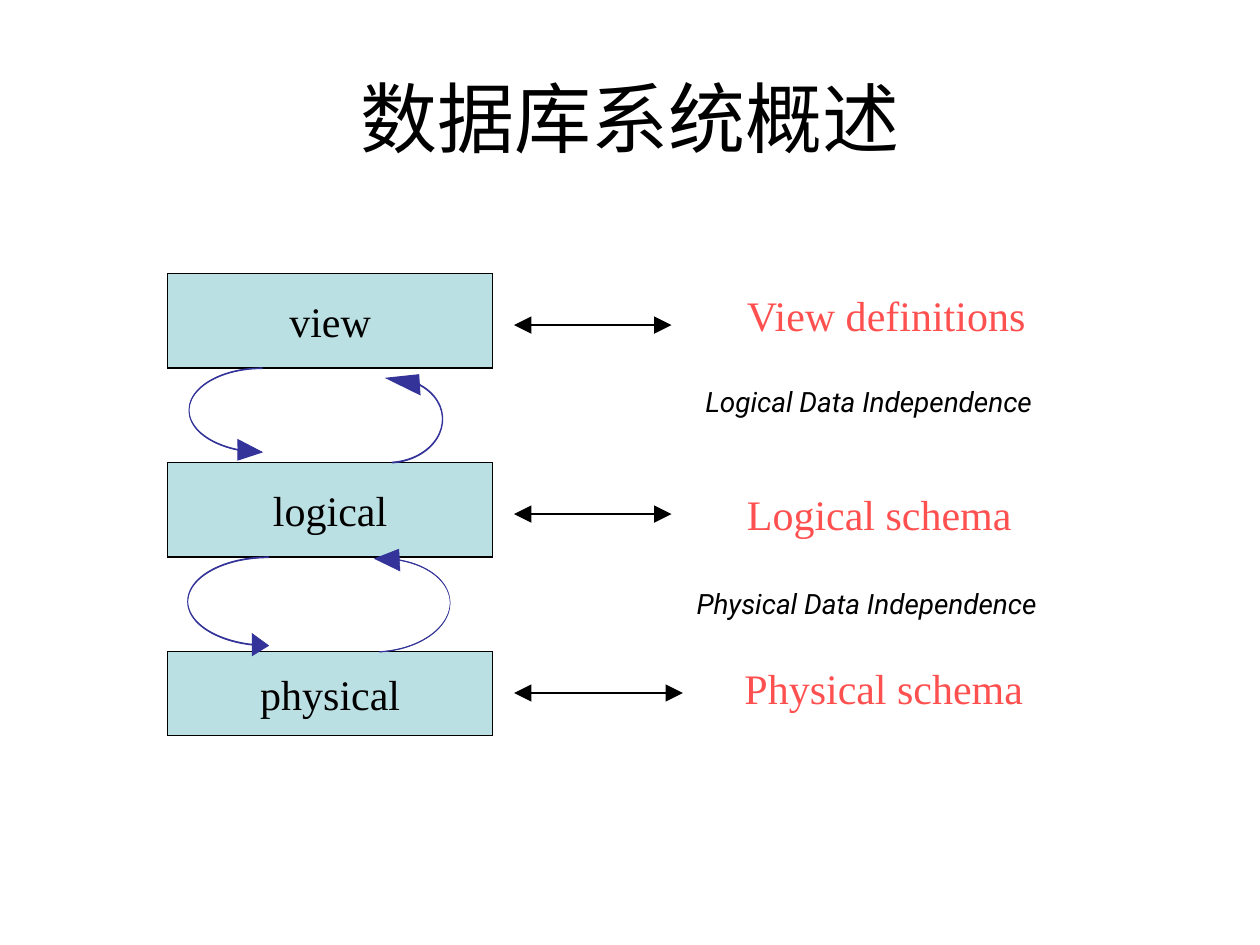
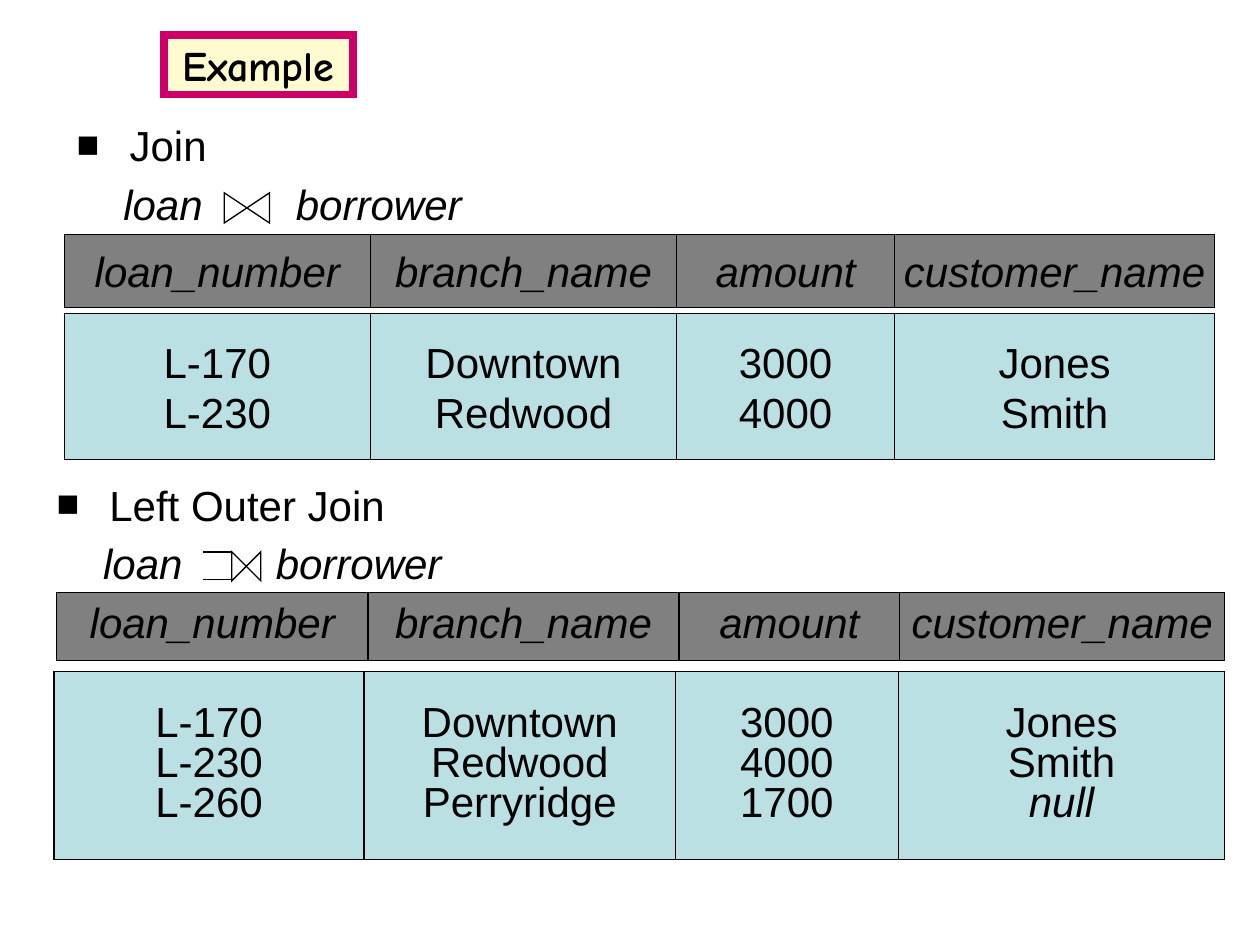
from dataclasses import dataclass
from itertools import pairwise

from lxml import etree
from pptx import Presentation
from pptx.dml.color import RGBColor
from pptx.enum.shapes import MSO_CONNECTOR, MSO_SHAPE
from pptx.enum.text import MSO_ANCHOR, PP_ALIGN
from pptx.oxml.ns import qn
from pptx.util import Inches, Pt


@dataclass(frozen=True)
class Theme:
    black: str = "000000"
    teal: str = "BBE0E3"
    gray: str = "808080"
    indigo: str = "333399"
    red: str = "FF5050"
    cream: str = "FFFBD1"
    magenta: str = "CC0066"
    sans: str = "Arial"
    serif: str = "Times New Roman"
    note_font: str = "Roboto"
    tag_font: str = "Comic Neue"
    title_size: int = 44
    body_size: int = 24
    note_size: int = 16
    hairline: float = 0.75


T = Theme()
COLUMNS = ("loan_number", "branch_name", "amount", "customer_name")
LOANS = (("L-170", "Downtown", "3000", "Jones"),
         ("L-230", "Redwood", "4000", "Smith"),
         ("L-260", "Perryridge", "1700", "null"))


# Shared helpers
def rgb(color):
    return RGBColor.from_string(color)


def inches(*lengths):
    return [Inches(v) for v in lengths]


def add_run(p, text, font=T.sans, size=T.body_size, color=T.black,
            bold=False, italic=False):
    r = p.add_run()
    r.text = text
    r.font.name, r.font.size = font, Pt(size)
    r.font.bold, r.font.italic = bold, italic
    r.font.color.rgb = rgb(color)


def paint(sp, fill=None, line=T.black, width=T.hairline):
    if fill:
        sp.fill.solid()
        sp.fill.fore_color.rgb = rgb(fill)
    else:
        sp.fill.background()
    sp.line.color.rgb = rgb(line)
    sp.line.width = Pt(width)
    etree.SubElement(sp.line._get_or_add_ln(), qn("a:miter"), lim="800000")


def add_shape(slide, kind, at, **style):
    sp = slide.shapes.add_shape(kind, *inches(*at))
    sp.shadow.inherit = False
    paint(sp, **style)
    return sp


def add_box(slide, at, lines, fill, spacing=None, **style):
    """A ruled box with one centred paragraph for each line."""
    tf = add_shape(slide, MSO_SHAPE.RECTANGLE, at, fill=fill).text_frame
    tf.word_wrap = False
    tf.vertical_anchor = MSO_ANCHOR.MIDDLE
    for i, text in enumerate(lines):
        p = tf.add_paragraph() if i else tf.paragraphs[0]
        p.alignment = PP_ALIGN.CENTER
        p.line_spacing = spacing
        add_run(p, text, **({"italic": text == "null"} | style))


def add_line(slide, start, end, arrows=False):
    cx = slide.shapes.add_connector(MSO_CONNECTOR.STRAIGHT,
                                    *inches(*start, *end))
    cx.line.color.rgb = rgb(T.black)
    cx.line.width = Pt(T.hairline)
    if arrows:
        ln = cx.line._get_or_add_ln()
        for end_tag in ("a:headEnd", "a:tailEnd"):
            etree.SubElement(ln, qn(end_tag), type="triangle",
                             w="lg", len="lg")
    etree.SubElement(cx._element.spPr, qn("a:effectLst"))


def add_text(slide, at, text, wrap=False, **style):
    tf = slide.shapes.add_textbox(*inches(*at)).text_frame
    tf.word_wrap = wrap
    add_run(tf.paragraphs[0], text, **style)


def set_title(slide, at, text, **style):
    sp = slide.shapes.title
    sp.left, sp.top, sp.width, sp.height = inches(*at)
    tf = sp.text_frame
    tf.vertical_anchor = MSO_ANCHOR.MIDDLE
    p = tf.paragraphs[0]
    p.alignment = PP_ALIGN.CENTER
    add_run(p, text, **style)
    return sp


# Schema levels
def add_loop_arrow(slide, at, rotation, head_width, head_length, width):
    sp = add_shape(slide, MSO_SHAPE.CURVED_RIGHT_ARROW, at,
                   fill=T.indigo, line=T.indigo, width=width)
    sp.rotation = rotation
    for i, value in enumerate((0.01, head_width, head_length)):
        sp.adjustments[i] = value


# Relations
def add_strip(slide, edges, top, height, rows, fill, **style):
    """One box for each column, holding that column's values."""
    for (left, right), values in zip(pairwise(edges), zip(*rows)):
        add_box(slide, (left, top, right - left, height), values, fill,
                **style)


def add_join_text(slide, left, top, name):
    tf = slide.shapes.add_textbox(*inches(left, top, 4.72, 0.89)).text_frame
    tf.word_wrap = True
    # Bulleted operation name
    p = tf.paragraphs[0]
    pPr = p._p.get_or_add_pPr()
    pPr.set("marL", str(Inches(0.42)))
    pPr.set("indent", str(-Inches(0.42)))
    color = etree.SubElement(pPr, qn("a:buClr"))
    etree.SubElement(color, qn("a:srgbClr"), val=T.black)
    etree.SubElement(pPr, qn("a:buSzPct"), val="90000")
    etree.SubElement(pPr, qn("a:buFont"), typeface=T.sans)
    etree.SubElement(pPr, qn("a:buChar"), char="■")
    p.line_spacing = 0.8
    add_run(p, name)
    # Operands either side of the join symbol
    p = tf.add_paragraph()
    tabs = etree.SubElement(p._p.get_or_add_pPr(), qn("a:tabLst"))
    for pos in (0.37, 1.74):
        etree.SubElement(tabs, qn("a:tab"), pos=str(Inches(pos)), algn="l")
    p.line_spacing = 0.8
    p.space_before = Pt(10.5)
    add_run(p, "\tloan\tborrower", italic=True)


def add_bowtie(slide, at):
    add_shape(slide, MSO_SHAPE.FLOWCHART_COLLATE, at).rotation = 270


# Slides
def build_overview(prs):
    slide = prs.slides.add_slide(prs.slide_layouts[5])
    set_title(slide, (0.5, 0.3, 9, 1.25), "数据库系统概述", size=T.title_size)

    for name, top, height, arrow_y, arrow_end in (
            ("view", 2.17, 0.75, 2.58, 5.33),
            ("logical", 3.67, 0.75, 4.08, 5.33),
            ("physical", 5.17, 0.67, 5.5, 5.42)):
        add_line(slide, (4.08, arrow_y), (arrow_end, arrow_y), arrows=True)
        add_box(slide, (1.33, top, 2.58, height), [name], T.teal,
                font=T.serif)

    for loop in (((1.5, 2.92, 0.58, 0.75), 0, 0.28, 0.33, 0.5),
                 ((3.09, 2.91, 0.42, 0.75), 176.3, 0.37, 0.6, 0.75),
                 ((1.49, 4.42, 0.64, 0.79), 0, 0.27, 0.2, 0.5),
                 ((2.99, 4.33, 0.58, 0.83), 176.8, 0.3, 0.34, 0.25)):
        add_loop_arrow(slide, *loop)

    for text, left, top, width in (("View definitions", 5.83, 2.25, 2.43),
                                   ("Logical schema", 5.83, 3.83, 2.3),
                                   ("Physical schema", 5.81, 5.21, 2.41)):
        add_text(slide, (left, top, width, 0.5), text,
                 font=T.serif, color=T.red)
    for text, left, top in (("Logical Data Independence", 5.5, 3),
                            ("Physical Data Independence", 5.43, 4.61)):
        add_text(slide, (left, top, 3.16, 0.37), text, wrap=True,
                 font=T.note_font, size=T.note_size, italic=True)


def build_joins(prs):
    slide = prs.slides.add_slide(prs.slide_layouts[5])
    tag = set_title(slide, (1.3, 0.28, 1.5, 0.47), "Example",
                    font=T.tag_font, bold=True)
    tag.text_frame.word_wrap = False
    paint(tag, fill=T.cream, line=T.magenta, width=4.5)

    # Join
    edges = (0.51, 2.94, 5.37, 7.1, 9.64)
    add_strip(slide, edges, 1.86, 0.58, [COLUMNS], T.gray, italic=True)
    add_strip(slide, edges, 2.49, 1.16, LOANS[:2], T.teal)
    add_join_text(slide, 0.51, 0.98, "Join")
    add_bowtie(slide, (1.84, 1.47, 0.24, 0.36))

    # Left outer join
    add_strip(slide, (0.45, 2.92, 5.39, 7.14, 9.72), 4.7, 0.54, [COLUMNS],
              T.gray, spacing=0.8, italic=True)
    add_strip(slide, (0.43, 2.89, 5.36, 7.13, 9.72), 5.33, 1.49, LOANS,
              T.teal, spacing=0.8)
    add_join_text(slide, 0.35, 3.83, "Left Outer Join")
    add_bowtie(slide, (1.84, 4.38, 0.23, 0.23))
    for y in (4.38, 4.6):
        add_line(slide, (1.84, y), (1.61, y))


def main():
    prs = Presentation()
    prs.slide_width, prs.slide_height = inches(10, 7.5)
    build_overview(prs)
    build_joins(prs)
    prs.save("out.pptx")


if __name__ == "__main__":
    main()
